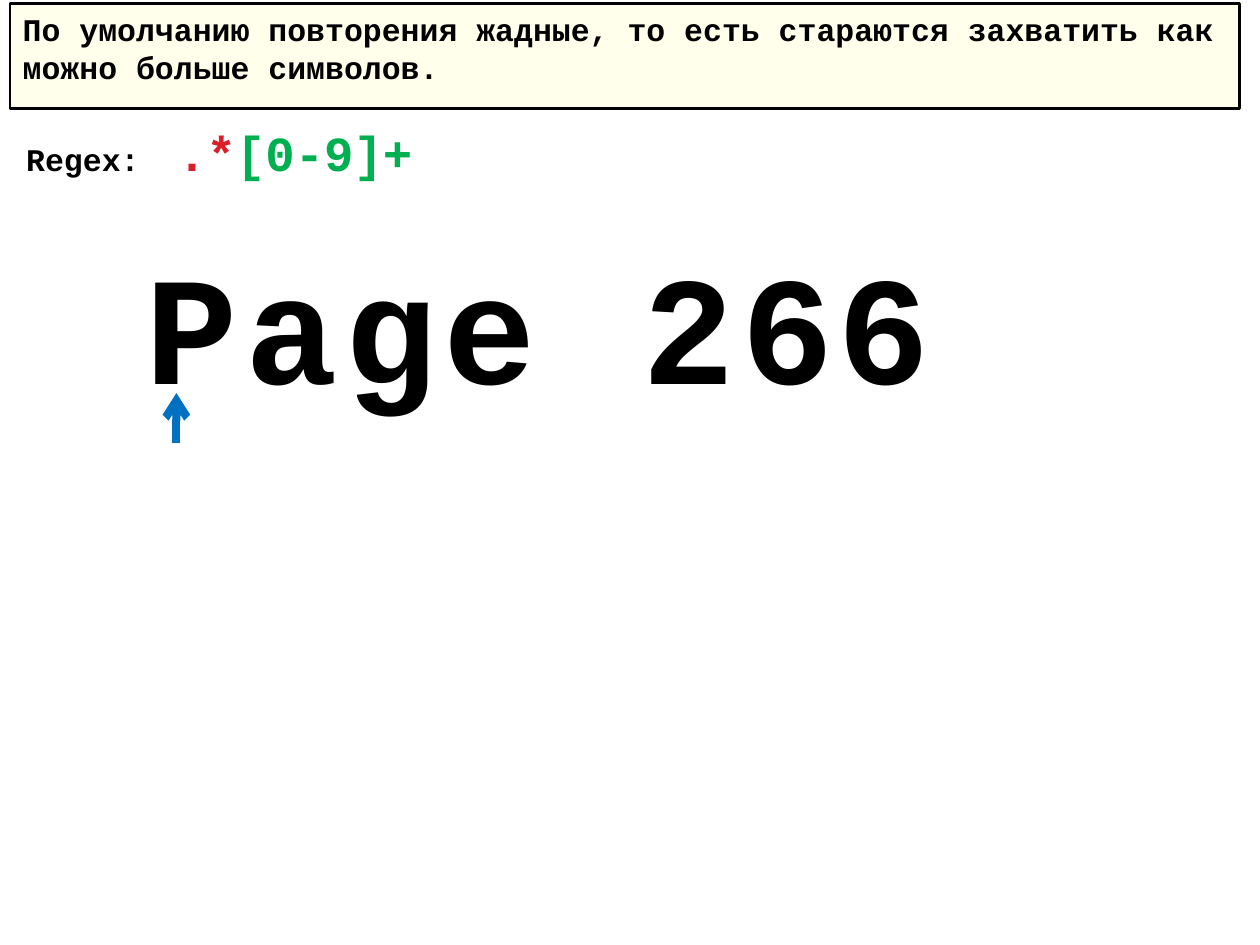
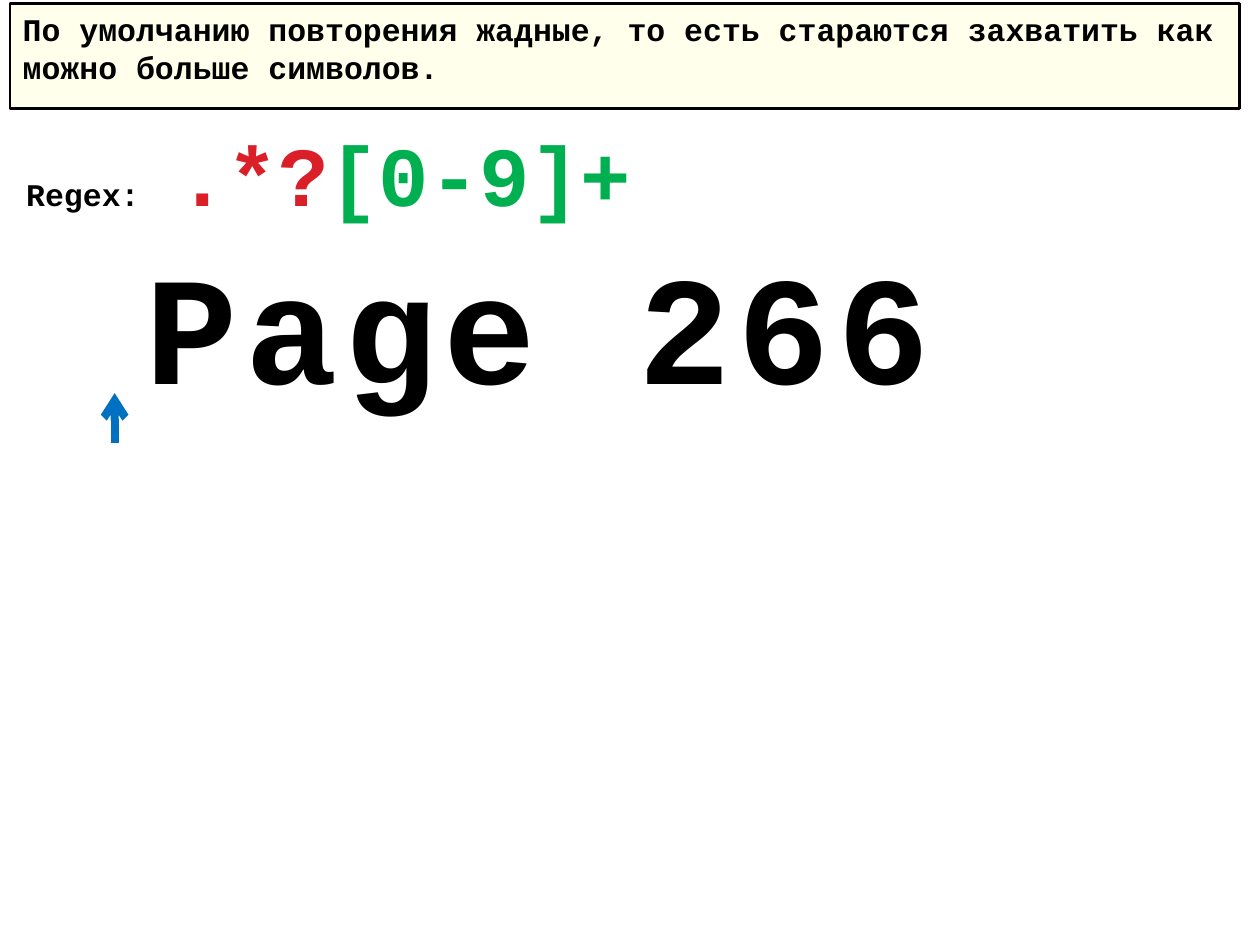
from pptx import Presentation
from pptx.dml.color import RGBColor
from pptx.enum.shapes import MSO_CONNECTOR
from pptx.enum.text import MSO_ANCHOR, MSO_AUTO_SIZE, PP_ALIGN
from pptx.oxml.ns import qn
from pptx.util import Inches, Pt
from lxml.etree import SubElement

COLORS = {
    "text": "000000",
    "banner": "FFFF00",
    "wildcard": "DA1F28",
    "digits": "00B050",
    "cursor": "0070C0",
}
FONT = "Courier New"
TITLE_ONLY = 5
RULE = "По умолчанию повторения жадные, то есть стараются захватить как можно больше символов."
SAMPLE_TOP, SAMPLE_HEIGHT = 1.78, 1.58


def rgb(name):
    return RGBColor.from_string(COLORS[name])


def add_text(paragraph, text, size=18, color="text", spacing=None):
    run = paragraph.add_run()
    run.text = text
    run.font.name = FONT
    run.font.size = Pt(size)
    run.font.bold = True
    run.font.color.rgb = rgb(color)
    if spacing:
        run.font._element.set("spc", str(round(spacing * 100)))


def prepare_frame(shape):
    frame = shape.text_frame
    frame.word_wrap = True
    frame.auto_size = MSO_AUTO_SIZE.SHAPE_TO_FIT_TEXT
    frame.vertical_anchor = MSO_ANCHOR.TOP
    paragraph = frame.paragraphs[0]
    paragraph.alignment = PP_ALIGN.LEFT
    return paragraph


def add_box(slide, left, top, width, height):
    box = slide.shapes.add_textbox(Inches(left), Inches(top), Inches(width), Inches(height))
    return prepare_frame(box)


def fill_banner(slide, left, top, width, height):
    banner = slide.shapes.title
    banner.left, banner.top = Inches(left), Inches(top)
    banner.width, banner.height = Inches(width), Inches(height)
    banner.fill.solid()
    banner.fill.fore_color.rgb = rgb("banner")
    # Nearly transparent yellow
    color = banner._element.spPr.find(qn("a:solidFill"))[0]
    SubElement(color, qn("a:alpha"), val="8000")
    banner.line.color.rgb = rgb("text")
    banner.line.width = Pt(1.5)
    add_text(prepare_frame(banner), RULE)


def add_regex(slide, left, top, width, height, wildcard, size):
    paragraph = add_box(slide, left, top, width, height)
    # Tab stop separates the label from the pattern
    tabs = SubElement(paragraph._p.get_or_add_pPr(), qn("a:tabLst"))
    SubElement(tabs, qn("a:tab"), pos=str(Inches(1.2)), algn="l")
    add_text(paragraph, "Regex:\t")
    add_text(paragraph, wildcard, size=size, color="wildcard")
    add_text(paragraph, "[0-9]+", size=size, color="digits")


def add_sample(slide, parts):
    for text, left, width in parts:
        paragraph = add_box(slide, left, SAMPLE_TOP, width, SAMPLE_HEIGHT)
        add_text(paragraph, text, size=88, spacing=4.1)


def add_cursor(slide, x, bottom=3.52, top=3.12):
    arrow = slide.shapes.add_connector(
        MSO_CONNECTOR.STRAIGHT, Inches(x), Inches(bottom), Inches(x), Inches(top))
    arrow.line.color.rgb = rgb("cursor")
    arrow.line.width = Pt(4.5)
    properties = arrow._element.spPr
    SubElement(properties.find(qn("a:ln")), qn("a:tailEnd"), type="arrow")
    SubElement(properties, qn("a:effectLst"))


def add_regex_slide(presentation, wildcard, size, regex_height, parts, cursor):
    slide = presentation.slides.add_slide(presentation.slide_layouts[TITLE_ONLY])
    fill_banner(slide, 0.08, 0.03, 9.76, 0.71)
    add_regex(slide, 0.11, 0.92, 9.74, regex_height, wildcard, size)
    add_sample(slide, parts)
    add_cursor(slide, cursor)


def main():
    presentation = Presentation()
    presentation.slide_width, presentation.slide_height = Inches(10), Inches(7.5)
    # Greedy repetition
    add_regex_slide(presentation, ".*", 28, 0.57,
                    [("Page 26", 1.06, 5.98), ("6", 6.55, 1)], cursor=1.4)
    # Lazy repetition
    add_regex_slide(presentation, ".*?", 48, 0.91,
                    [("Page", 1.06, 4.33), ("266", 4.97, 2.58)], cursor=0.91)
    presentation.save("out.pptx")


if __name__ == "__main__":
    main()
